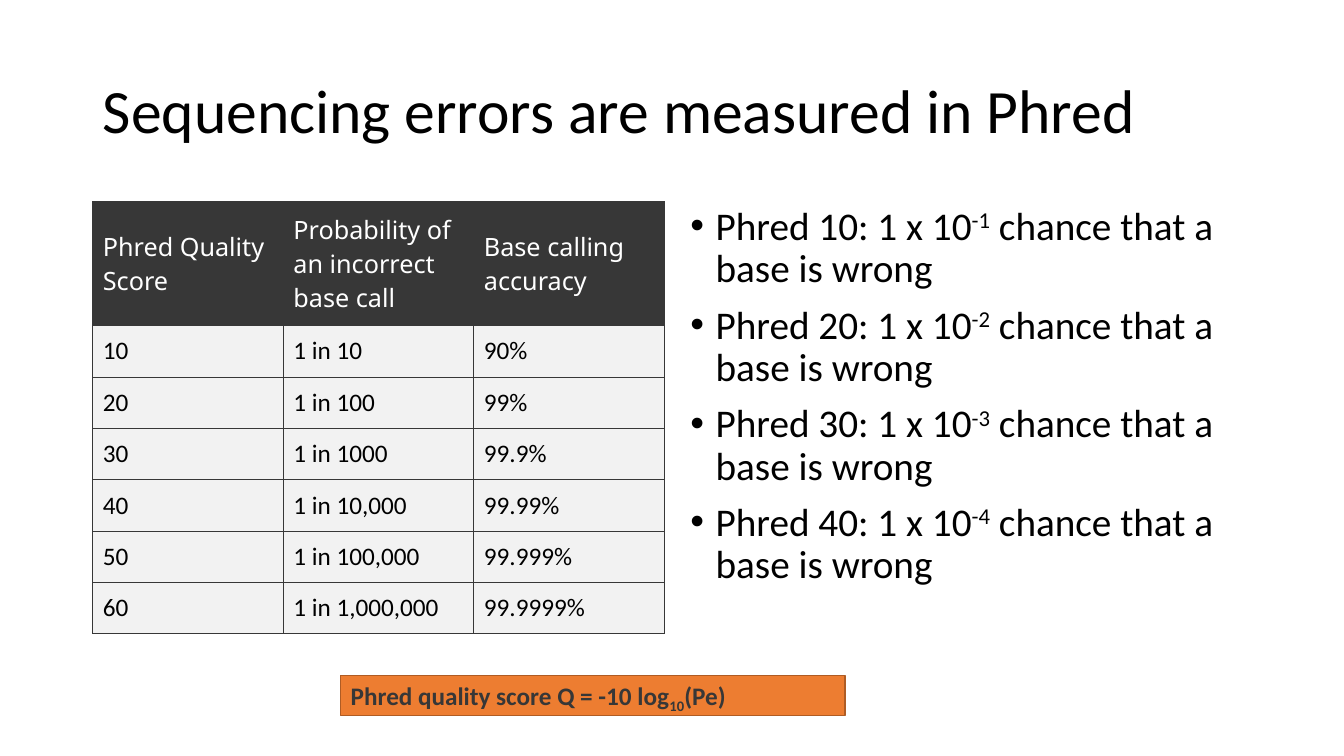
import pptx
import pptx.util
import pptx.dml.color
import pptx.enum.shapes
import pptx.enum.text
import pptx.oxml
import pptx.oxml.ns
from pptx.util import Inches

DARK, LIGHT, BLACK, WHITE = "373737", "F2F2F2", "000000", "FFFFFF"
SCORES = [
    ("Phred Quality Score", "Probability of an incorrect base call", "Base calling accuracy"),
    ("10", "1 in 10", "90%"),
    ("20", "1 in 100", "99%"),
    ("30", "1 in 1000", "99.9%"),
    ("40", "1 in 10,000", "99.99%"),
    ("50", "1 in 100,000", "99.999%"),
    ("60", "1 in 1,000,000", "99.9999%"),
]


def rgb(value):
    """Turn a hex string into a colour."""
    return pptx.dml.color.RGBColor.from_string(value)


def fill(target, color):
    """Give a shape or cell a solid fill."""
    target.fill.solid()
    target.fill.fore_color.rgb = rgb(color)


def add_run(p, text, size, color=BLACK, font="Calibri", bold=False, baseline=0):
    """Add one formatted run; baseline is a percentage shift."""
    r = p.add_run()
    r.text = text
    r.font.size = pptx.util.Pt(size)
    r.font.name = font
    r.font.bold = bold
    r.font.color.rgb = rgb(color)
    if baseline:
        r.font._element.set("baseline", str(baseline * 1000))


def add_borders(cell, color, width):
    """Draw the four borders of a cell, width in points."""
    tcPr = cell._tc.get_or_add_tcPr()
    for i, side in enumerate(("lnL", "lnR", "lnT", "lnB")):
        ln = pptx.oxml.parse_xml(
            f'<a:{side} {pptx.oxml.ns.nsdecls("a")} w="{pptx.util.Pt(width)}">'
            f'<a:solidFill><a:srgbClr val="{color}"/></a:solidFill></a:{side}>')
        tcPr.insert(i, ln)


def add_title(s, x, y, w, h):
    """Place and format the slide title."""
    sp = s.shapes.title
    sp.left, sp.top, sp.width, sp.height = (Inches(v) for v in (x, y, w, h))
    tf = sp.text_frame
    tf.vertical_anchor = pptx.enum.text.MSO_ANCHOR.MIDDLE
    p = tf.paragraphs[0]
    p.alignment = pptx.enum.text.PP_ALIGN.LEFT
    p.line_spacing = 0.9
    add_run(p, "Sequencing errors are measured in Phred", 44)


def add_scores(s, x, y, w, header_h, row_h):
    """Build the table of Phred scores."""
    rows, cols = len(SCORES), len(SCORES[0])
    height = header_h + row_h * (rows - 1)
    table = s.shapes.add_table(rows, cols, Inches(x), Inches(y), Inches(w), Inches(height)).table
    for column in table.columns:
        column.width = Inches(w / cols)
    for i, values in enumerate(SCORES):
        header = i == 0
        table.rows[i].height = Inches(header_h if header else row_h)
        for j, text in enumerate(values):
            cell = table.cell(i, j)
            cell.margin_left = cell.margin_right = Inches(0.1)
            cell.margin_top = cell.margin_bottom = Inches(0.1)
            cell.vertical_anchor = pptx.enum.text.MSO_ANCHOR.MIDDLE
            fill(cell, DARK if header else LIGHT)
            add_borders(cell, DARK, 0.75)
            add_run(cell.text_frame.paragraphs[0], text, 18,
                    WHITE if header else BLACK, "Noto Sans" if header else "Calibri")


def add_bullets(s, x, y, w, h):
    """List the error chance for each Phred score."""
    tf = s.shapes.add_textbox(Inches(x), Inches(y), Inches(w), Inches(h)).text_frame
    tf.word_wrap = True
    for n in range(1, 5):
        p = tf.paragraphs[0] if n == 1 else tf.add_paragraph()
        pPr = p._p.get_or_add_pPr()
        pPr.set("marL", str(Inches(0.25)))
        pPr.set("indent", str(Inches(-0.25)))
        ns = pptx.oxml.ns.nsdecls("a")
        pPr.append(pptx.oxml.parse_xml(f'<a:buFont {ns} typeface="Arial"/>'))
        pPr.append(pptx.oxml.parse_xml(f'<a:buChar {ns} char="•"/>'))
        p.line_spacing = 0.9
        p.space_before = pptx.util.Pt(0 if n == 1 else 10)
        add_run(p, f"Phred {n}0: 1 x 10", 28)
        add_run(p, f"-{n}", 28, baseline=30)
        add_run(p, " chance that a base is wrong", 28)


def add_formula(s, x, y, w, h):
    """Show the Phred formula in an orange bar."""
    sp = s.shapes.add_shape(pptx.enum.shapes.MSO_SHAPE.RECTANGLE,
                            Inches(x), Inches(y), Inches(w), Inches(h))
    sp.shadow.inherit = False
    fill(sp, "ED7D31")
    sp.line.color.rgb = rgb("AF5C24")
    sp.line.width = pptx.util.Pt(1)
    tf = sp.text_frame
    tf.word_wrap = True
    tf.vertical_anchor = pptx.enum.text.MSO_ANCHOR.TOP
    p = tf.paragraphs[0]
    p.alignment = pptx.enum.text.PP_ALIGN.LEFT
    for text, baseline in (("Phred quality score Q = -10 log", 0), ("10", -25), ("(Pe)", 0)):
        add_run(p, text, 18, DARK, bold=True, baseline=baseline)


def main():
    """Build and save the slide."""
    prs = pptx.Presentation()
    prs.slide_width, prs.slide_height = Inches(13.33), Inches(7.5)
    s = prs.slides.add_slide(prs.slide_layouts[5])
    add_title(s, 0.92, 0.4, 11.5, 1.45)
    add_scores(s, 0.92, 2, 5.67, 1.23, 0.51)
    add_bullets(s, 6.75, 2, 5.67, 4.76)
    add_formula(s, 3.38, 6.7, 5, 0.4)
    prs.save("out.pptx")


if __name__ == "__main__":
    main()
